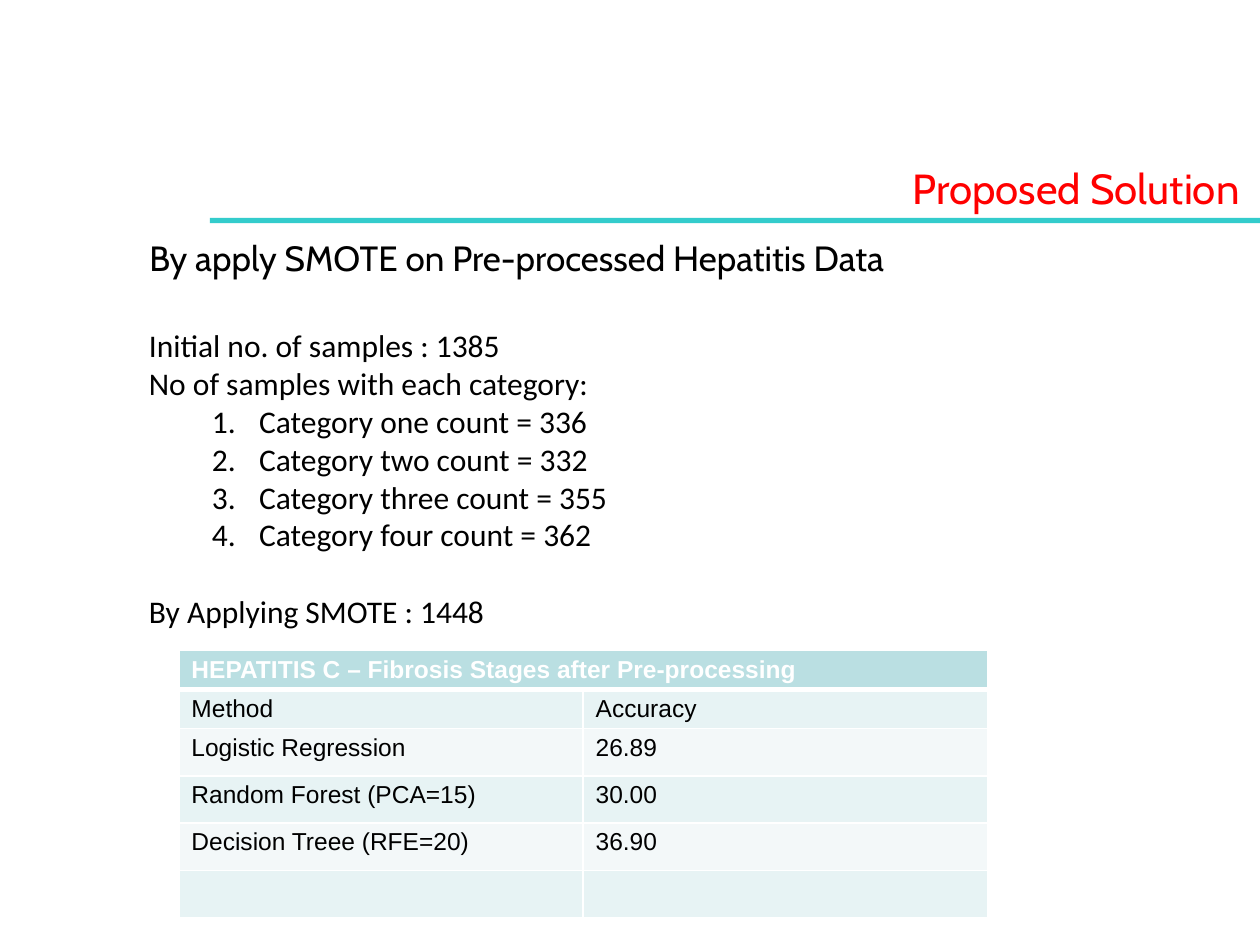
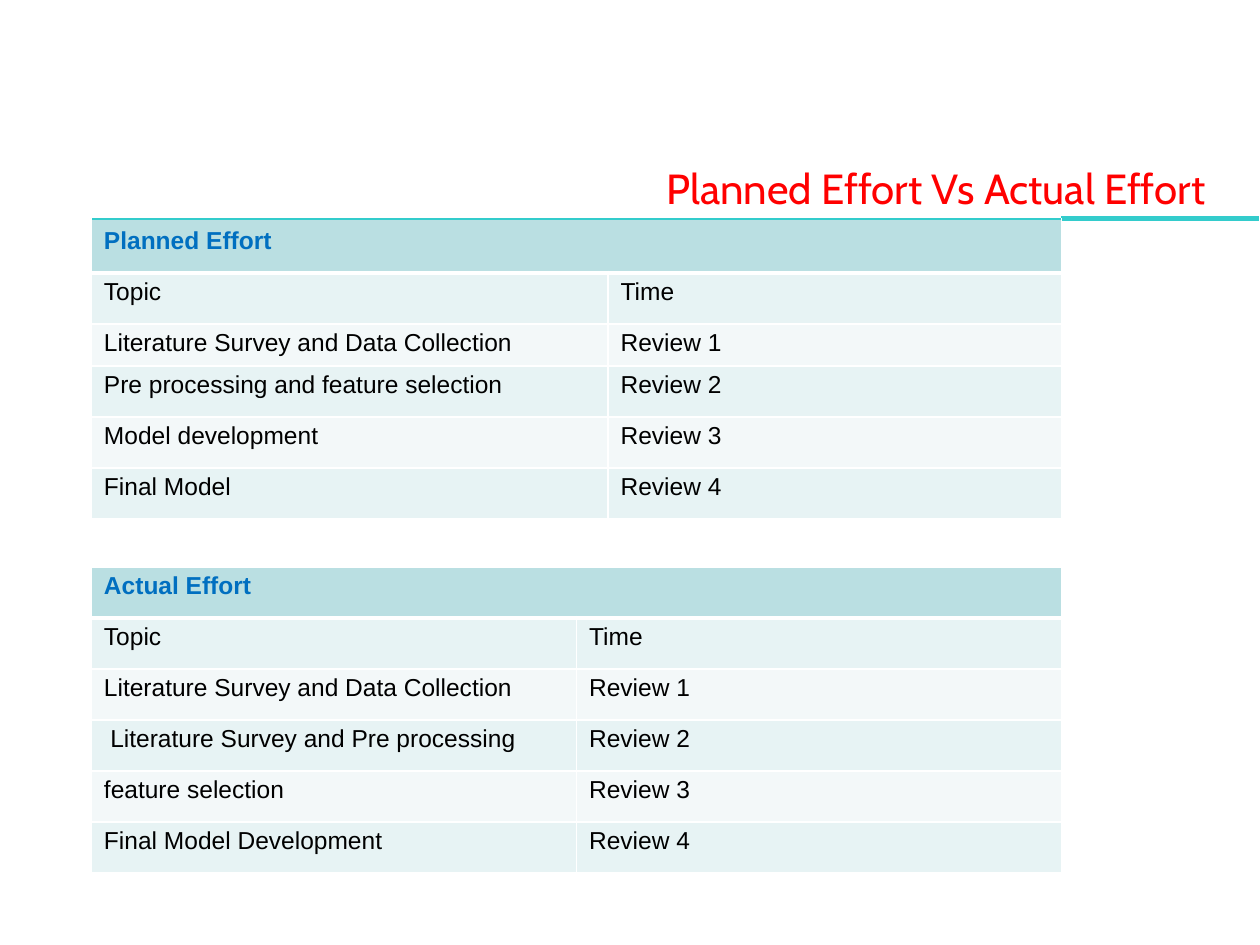
"""Build the two review slides on SMOTE results and project effort."""
from dataclasses import dataclass

from lxml import etree
from pptx import Presentation
from pptx.dml.color import RGBColor
from pptx.enum.shapes import MSO_SHAPE
from pptx.enum.text import MSO_ANCHOR, MSO_AUTO_SIZE, PP_ALIGN
from pptx.oxml.ns import qn
from pptx.util import Pt

RECTANGLE = MSO_SHAPE.RECTANGLE
TOP = MSO_ANCHOR.TOP
FIT_SHAPE = MSO_AUTO_SIZE.SHAPE_TO_FIT_TEXT
LEFT = PP_ALIGN.LEFT
TITLE_ONLY = 5


@dataclass(frozen=True)
class Theme:
    """Colours, fonts and type sizes of the slides."""
    title: str = "FF0000"
    rule: str = "33CCCC"
    ink: str = "000000"
    white: str = "FFFFFF"
    blue: str = "006FC0"
    header: str = "BADFE2"
    bands: tuple = ("E7F3F4", "F3F8F9")
    heading_font: str = "Cabin"
    body_font: str = "Calibri"
    table_font: str = "Arial"
    title_size: int = 24
    heading_size: int = 20
    body_size: int = 18
    table_size: int = 14


THEME = Theme()

SOLUTION_TITLE = "Proposed Solution"
SOLUTION_HEADING = "By apply SMOTE on Pre-processed Hepatitis Data"
INITIAL_SAMPLES = ["Initial no. of samples : 1385", "No of samples with each category:"]
CATEGORY_COUNTS = [("one", 336), ("two", 332), ("three", 355), ("four", 362)]
SMOTE_SAMPLES = "By Applying SMOTE : 1448"
ACCURACY = [
    ("HEPATITIS C – Fibrosis Stages after Pre-processing", ""),
    ("Method", "Accuracy"),
    ("Logistic Regression", "26.89"),
    ("Random Forest (PCA=15)", "30.00"),
    ("Decision Treee (RFE=20)", "36.90"),
    ("", ""),
]

EFFORT_TITLE = "Planned Effort Vs Actual Effort"
PLANNED_TOPICS = ["Literature Survey and Data Collection", "Pre processing and feature selection",
                  "Model development", "Final Model"]
ACTUAL_TOPICS = ["Literature Survey and Data Collection", "Literature Survey and Pre processing",
                 "feature selection", "Final Model Development"]


def effort_rows(heading, topics):
    """Return the table rows that give each topic its review."""
    reviews = [(topic, f"Review {number}") for number, topic in enumerate(topics, 1)]
    return [(heading, ""), ("Topic", "Time"), *reviews]


def style(paragraph, font, size, color, before=0, bold=False):
    """Format a paragraph and its runs."""
    paragraph.alignment = LEFT
    paragraph.space_before = Pt(before)
    for run in paragraph.runs:
        run.font.name = font
        run.font.size = Pt(size)
        run.font.bold = bold
        run.font.color.rgb = RGBColor.from_string(color)


def set_frame(frame, left, top, right=0, bottom=0):
    """Set the margins of a wrapping, top-anchored text frame."""
    frame.word_wrap = True
    frame.auto_size = FIT_SHAPE
    frame.vertical_anchor = TOP
    frame.margin_left, frame.margin_top = Pt(left), Pt(top)
    frame.margin_right, frame.margin_bottom = Pt(right), Pt(bottom)


def add_slide(deck, title, left, width, indent):
    """Add a slide with its red title."""
    slide = deck.slides.add_slide(deck.slide_layouts[TITLE_ONLY])
    heading = slide.shapes.title
    heading.left, heading.top, heading.width, heading.height = Pt(left), Pt(92), Pt(width), Pt(31)
    heading.text_frame.text = title
    set_frame(heading.text_frame, indent, 1)
    style(heading.text_frame.paragraphs[0], THEME.heading_font, THEME.title_size, THEME.title, 1)
    return slide


def number_item(paragraph):
    """Turn a paragraph into an indented numbered item."""
    paragraph.level = 1
    properties = paragraph._p.get_or_add_pPr()
    properties.set("marL", str(Pt(63)))
    properties.set("indent", str(Pt(-27)))
    etree.SubElement(properties, qn("a:buAutoNum"), type="arabicPeriod")


def add_border(cell, side, color, width):
    """Draw one border of a cell."""
    line = etree.SubElement(cell._tc.get_or_add_tcPr(), qn(f"a:ln{side}"), w=str(Pt(width)))
    fill = etree.SubElement(line, qn("a:solidFill"))
    etree.SubElement(fill, qn("a:srgbClr"), val=color)


def add_borders(cell, top, bottom):
    """Draw white sides and the given (colour, width) top and bottom of a cell."""
    thin = (THEME.white, 1)
    for side, (color, width) in zip("LRTB", (thin, thin, top, bottom)):
        add_border(cell, side, color, width)


def add_banded_table(slide, rows, left, top, widths, heights, header_color,
                     header_top=(THEME.white, 1), header_margin=3):
    """Add a banded table whose first row is one merged heading."""
    table = slide.shapes.add_table(len(rows), len(widths), Pt(left), Pt(top),
                                   Pt(sum(widths)), Pt(sum(heights))).table
    table.first_row = table.horz_banding = False
    for column, width in zip(table.columns, widths):
        column.width = Pt(width)
    thin, thick = (THEME.white, 1), (THEME.white, 3)
    for r, (values, height) in enumerate(zip(rows, heights)):
        table.rows[r].height = Pt(height)
        for c, value in enumerate(values):
            cell = table.cell(r, c)
            add_borders(cell, {0: header_top, 1: thick}.get(r, thin), thick if r == 0 else thin)
            cell.fill.solid()
            fill = THEME.bands[(r - 1) % 2] if r else THEME.header
            cell.fill.fore_color.rgb = RGBColor.from_string(fill)
            cell.margin_left, cell.margin_right, cell.margin_bottom = Pt(7.2), 0, 0
            cell.margin_top = Pt(3 if r else header_margin)
            cell.text_frame.text = value
            style(cell.text_frame.paragraphs[0], THEME.table_font, THEME.table_size,
                  THEME.ink if r else header_color, 3.2, bold=r == 0)
    table.cell(0, 0).merge(table.cell(0, 1))
    return table


def build_solution(deck):
    """Build the slide on samples and accuracy."""
    slide = add_slide(deck, SOLUTION_TITLE, 6.5, 708, 515)

    rule = slide.shapes.add_shape(RECTANGLE, Pt(120), Pt(124.5), Pt(600), Pt(3))
    rule.shadow.inherit = False
    rule.fill.solid()
    rule.fill.fore_color.rgb = RGBColor.from_string(THEME.rule)
    rule.line.fill.background()

    heading = slide.shapes.add_textbox(Pt(48), Pt(130.3), Pt(630), Pt(29.5)).text_frame
    heading.text = SOLUTION_HEADING
    set_frame(heading, 37.4, 5)
    style(heading.paragraphs[0], THEME.heading_font, THEME.heading_size, THEME.ink, 5.1)

    samples = slide.shapes.add_textbox(Pt(78), Pt(183), Pt(555), Pt(181.5)).text_frame
    categories = [f"Category {name} count = {count}" for name, count in CATEGORY_COUNTS]
    samples.text = "\n".join([*INITIAL_SAMPLES, *categories, SMOTE_SAMPLES])
    set_frame(samples, 7.2, 3.6, 7.2, 3.6)
    for paragraph in samples.paragraphs:
        before = 22 if paragraph.text == SMOTE_SAMPLES else 0
        style(paragraph, THEME.body_font, THEME.body_size, THEME.ink, before)
        if paragraph.text in categories:
            number_item(paragraph)

    add_banded_table(slide, ACCURACY, 102.2, 371.8, [231, 231], [22.3] * 2 + [27] * 4, THEME.white)


def build_effort(deck):
    """Build the slide that compares planned and actual effort."""
    slide = add_slide(deck, EFFORT_TITLE, 380.2, 334, 0.7)
    left, row_height = 52.2, 29.16

    planned_rows = [(*row, "") for row in effort_rows("Planned Effort", PLANNED_TOPICS)]
    planned = add_banded_table(slide, planned_rows, left, 125, [295.2, 259.2, 113],
                               [31, row_height, 24] + [row_height] * 3, THEME.blue,
                               (THEME.rule, 1), 5)
    for r in range(len(planned_rows)):
        blank = planned.cell(r, 2)
        blank.fill.background()
    blank_top = planned.cell(0, 2)
    blank_top._tc.tcPr.find(qn("a:lnT")).set("w", str(Pt(3)))
    blank_top.merge(planned.cell(len(planned_rows) - 1, 2))

    actual_rows = effort_rows("Actual Effort", ACTUAL_TOPICS)
    actual = add_banded_table(slide, actual_rows, left, 324, [277.2, 277.2],
                              [row_height] * len(actual_rows), THEME.blue)
    actual.cell(3, 0).margin_left = Pt(10.8)


def main():
    """Build and save the deck."""
    deck = Presentation()
    deck.slide_width, deck.slide_height = Pt(720), Pt(540)
    build_solution(deck)
    build_effort(deck)
    deck.save("out.pptx")


if __name__ == "__main__":
    main()
